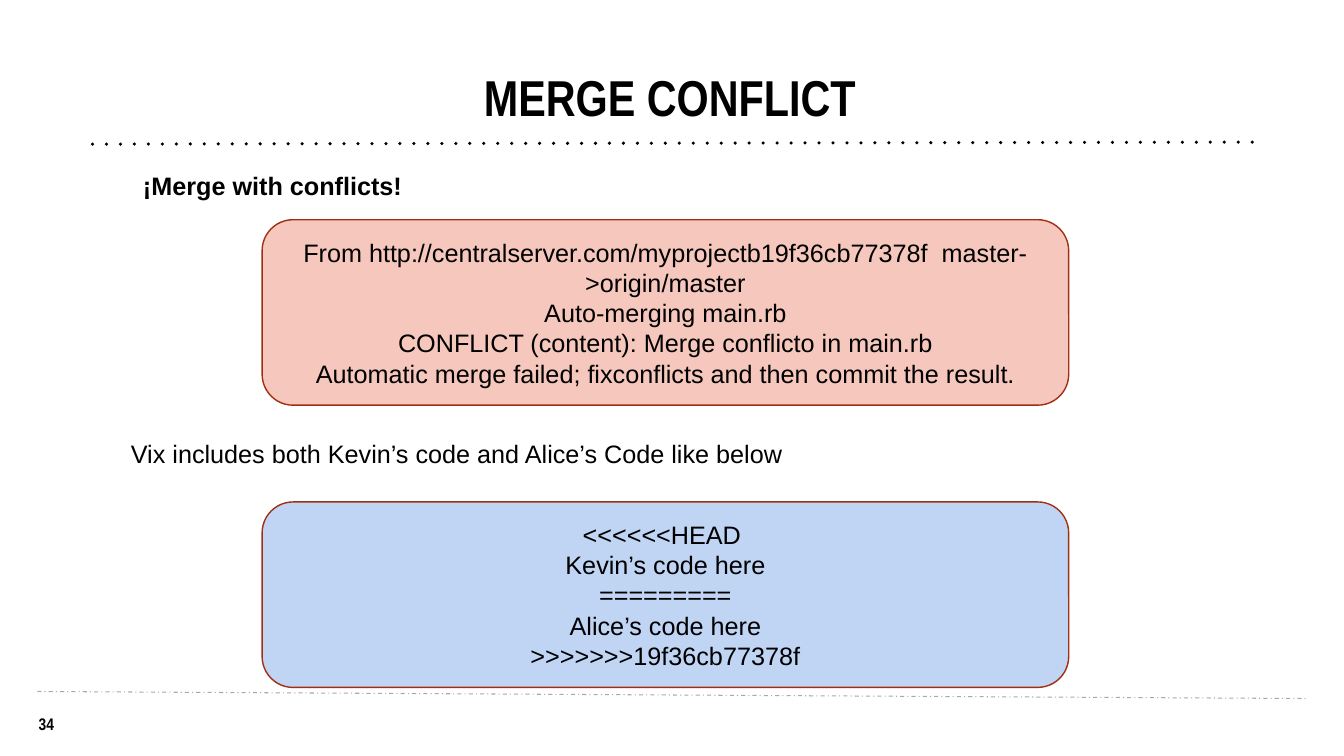
from dataclasses import dataclass

from lxml import etree
from pptx import Presentation
from pptx.dml.color import RGBColor
from pptx.enum import shapes, text
from pptx.oxml.ns import qn
from pptx.util import Inches, Pt


@dataclass(frozen=True)
class Theme:
    ink: str = "000000"
    rule: str = "A6AAA9"
    outline: str = "A22F14"
    conflict: str = "F5C7BD"
    code: str = "C0D4F4"
    heading_font: str = "Arial Narrow"
    body_font: str = "Arial"
    title_size: int = 36
    body_size: int = 18
    number_size: int = 12


THEME = Theme()
Box = tuple[float, float, float, float]
BODY_MARGINS = (0.1, 0.05, 0.1, 0.05)


@dataclass(frozen=True)
class Style:
    size: int = THEME.body_size
    font: str = THEME.body_font
    bold: bool = False
    align: text.PP_ALIGN = text.PP_ALIGN.LEFT
    anchor: text.MSO_ANCHOR = text.MSO_ANCHOR.TOP
    margins: Box = BODY_MARGINS
    line_spacing: float = 1.0


@dataclass(frozen=True)
class Label:
    box: Box
    words: str
    style: Style


@dataclass(frozen=True)
class Panel:
    top: float
    fill: str
    paragraphs: list[list[str]]


@dataclass(frozen=True)
class Rule:
    start: tuple[float, float]
    end: tuple[float, float]
    color: str
    width: float
    dash: str
    cap: str


CENTER = text.PP_ALIGN.CENTER
TITLE_STYLE = Style(THEME.title_size, THEME.heading_font, True, CENTER,
                    text.MSO_ANCHOR.BOTTOM, (0, 0.05, 0.1, 0.05), 0.7)
PANEL_STYLE = Style(align=CENTER, anchor=text.MSO_ANCHOR.MIDDLE)
NUMBER_STYLE = Style(THEME.number_size, THEME.heading_font, True, CENTER,
                     margins=(0, 0, 0, 0))

TITLE = Label((1.32, 0.17, 10.75, 1.12), "MERGE CONFLICT", TITLE_STYLE)
LABELS = [
    Label((0.22, 7.08, 0.48, 0.2), "34", NUMBER_STYLE),
    Label((1.32, 1.64, 2.8, 0.4), "¡Merge with conflicts!", Style(bold=True)),
    Label((1.2, 4.3, 6.77, 0.4),
          "Vix includes both Kevin’s code and Alice’s Code like below", Style()),
]
PANELS = [
    Panel(2.18, THEME.conflict, [[
        "From http://centralserver.com/myprojectb19f36cb77378f  master->origin/master",
        "Auto-merging main.rb",
        "CONFLICT (content): Merge conflicto in main.rb",
        "Automatic merge failed; fixconflicts and then commit the result.",
    ]]),
    Panel(4.98, THEME.code, [
        ["<<<<<<HEAD ", "Kevin’s code here"],
        ["========="],
        ["Alice’s code here"],
        [">>>>>>>19f36cb77378f"],
    ]),
]
RULES = [
    Rule((0.37, 6.86), (12.98, 6.93), THEME.rule, 0.75, "dashDot", "flat"),
    Rule((12.42, 1.41), (0.88, 1.43), THEME.ink, 2.5, "dot", "rnd"),
]


def inches(values: tuple[float, ...]) -> list[int]:
    return [Inches(v) for v in values]


def write(tf, paragraphs: list[list[str]], style: Style) -> None:
    """Fill a text frame; the lines of one paragraph are split by line breaks."""
    left, top, right, bottom = inches(style.margins)
    frame_format = {
        "word_wrap": True, "auto_size": text.MSO_AUTO_SIZE.NONE,
        "vertical_anchor": style.anchor, "margin_left": left,
        "margin_top": top, "margin_right": right, "margin_bottom": bottom,
    }
    for name, value in frame_format.items():
        setattr(tf, name, value)
    font_format = {"size": Pt(style.size), "name": style.font, "bold": style.bold}
    for i, lines in enumerate(paragraphs):
        p = tf.add_paragraph() if i else tf.paragraphs[0]
        p.alignment = style.align
        p.line_spacing = style.line_spacing
        for j, line in enumerate(lines):
            if j:
                p.add_line_break()
            r = p.add_run()
            r.text = line
            for name, value in font_format.items():
                setattr(r.font, name, value)
            r.font.color.rgb = RGBColor.from_string(THEME.ink)


def place_title(s, label: Label) -> None:
    sp = s.shapes.title
    sp.left, sp.top, sp.width, sp.height = inches(label.box)
    write(sp.text_frame, [[label.words]], label.style)


def add_label(s, label: Label) -> None:
    sp = s.shapes.add_textbox(*inches(label.box))
    write(sp.text_frame, [[label.words]], label.style)


def add_panel(s, panel: Panel) -> None:
    sp = s.shapes.add_shape(shapes.MSO_SHAPE.ROUNDED_RECTANGLE,
                            *inches((2.6, panel.top, 8, 1.84)))
    sp.shadow.inherit = False
    sp.fill.solid()
    sp.fill.fore_color.rgb = RGBColor.from_string(panel.fill)
    sp.line.color.rgb = RGBColor.from_string(THEME.outline)
    sp.line.width = Pt(1)
    write(sp.text_frame, panel.paragraphs, PANEL_STYLE)


def add_rule(s, rule: Rule) -> None:
    line = s.shapes.add_connector(shapes.MSO_CONNECTOR.STRAIGHT,
                                  *inches(rule.start + rule.end))
    line.line.color.rgb = RGBColor.from_string(rule.color)
    line.line.width = Pt(rule.width)
    properties = line._element.spPr
    ln = properties.find(qn("a:ln"))
    ln.set("cap", rule.cap)
    etree.SubElement(ln, qn("a:prstDash")).set("val", rule.dash)
    etree.SubElement(properties, qn("a:effectLst"))


def main() -> None:
    prs = Presentation()
    prs.slide_width, prs.slide_height = inches((13.33, 7.5))
    s = prs.slides.add_slide(prs.slide_layouts[5])
    place_title(s, TITLE)
    for rule in RULES:
        add_rule(s, rule)
    for panel in PANELS:
        add_panel(s, panel)
    for label in LABELS:
        add_label(s, label)
    prs.save("out.pptx")


if __name__ == "__main__":
    main()
